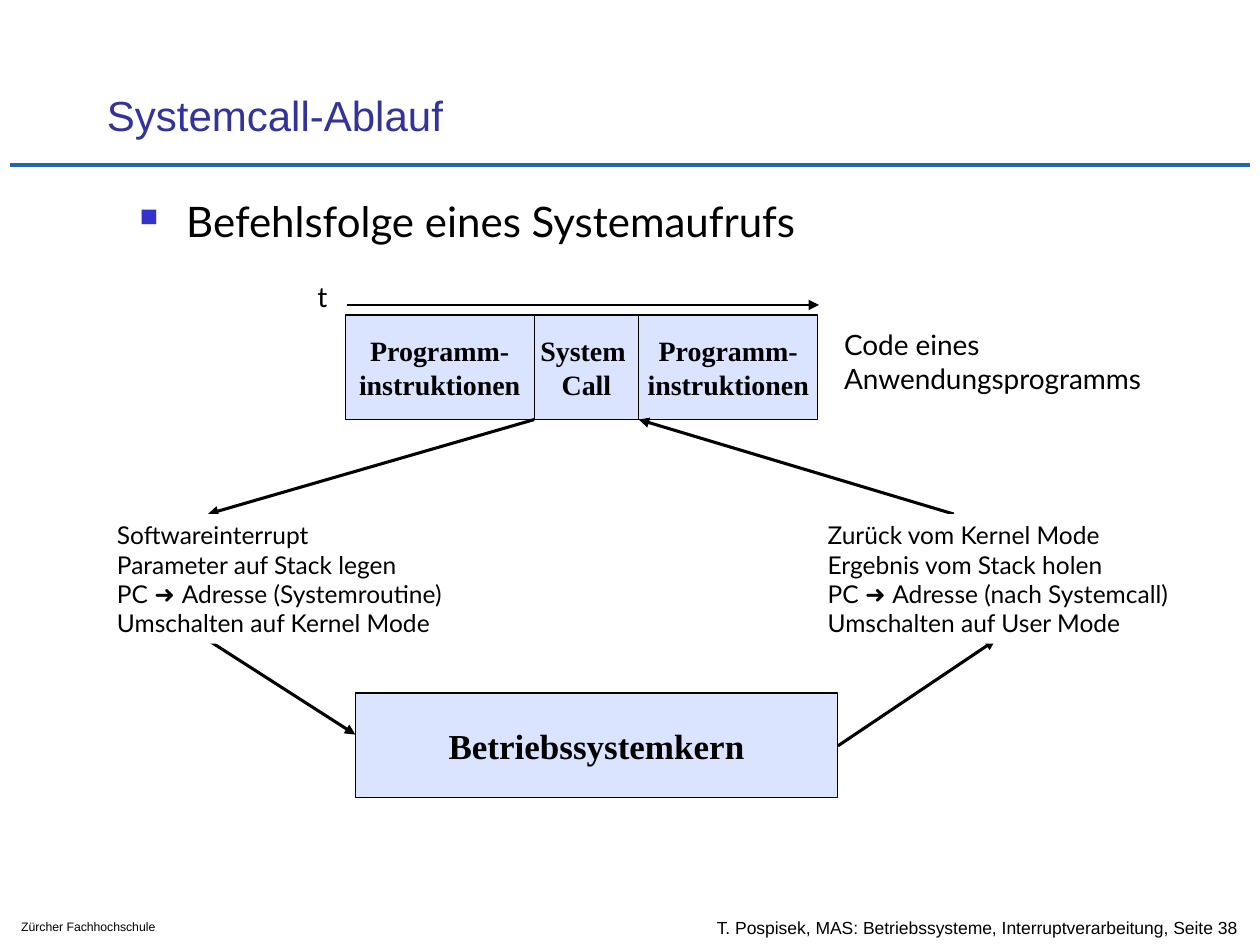
from dataclasses import dataclass

from lxml.etree import SubElement
from pptx import Presentation
from pptx.dml.color import RGBColor
from pptx.enum.shapes import MSO_CONNECTOR as Connector, MSO_SHAPE as Shape
from pptx.enum.text import MSO_ANCHOR as Anchor, PP_ALIGN as Align
from pptx.oxml.ns import qn
from pptx.slide import Slide
from pptx.util import Inches, Pt

BLACK = RGBColor(0x00, 0x00, 0x00)
WHITE = RGBColor(0xFF, 0xFF, 0xFF)
TITLE_BLUE = RGBColor(0x33, 0x33, 0x99)
RULE_BLUE = RGBColor(0x22, 0x66, 0xAB)
BOX_BLUE = RGBColor(0xDA, 0xE4, 0xFF)
BULLET_BLUE = "3333CC"
ARROW = "➜ "


def write(frame, text, size=16, font="Lato", color=BLACK, bold=False,
          align=Align.LEFT, anchor=Anchor.TOP, wrap=True):
    frame.word_wrap = wrap
    frame.vertical_anchor = anchor
    for index, line in enumerate(text.split("\n")):
        paragraph = frame.paragraphs[0] if index == 0 else frame.add_paragraph()
        paragraph.alignment = align
        before, arrow, after = line.partition(ARROW)
        for part in filter(None, (before, arrow, after)):
            run = paragraph.add_run()
            run.text = part
            run.font.name = "Arial" if part == ARROW else font
            run.font.size = Pt(size)
            run.font.bold = bold
            run.font.color.rgb = color


@dataclass
class Sketch:
    """Draws the elements of one slide in a common style."""

    slide: Slide
    box_font: str = "Times New Roman"

    def label(self, text, left, top, width, height, **style):
        frame = self.slide.shapes.add_textbox(
            Inches(left), Inches(top), Inches(width), Inches(height)).text_frame
        write(frame, text, **style)
        return frame

    def bullet(self, text, left, top, width, height, **style):
        frame = self.label(text, left, top, width, height, **style)
        props = frame.paragraphs[0]._p.get_or_add_pPr()
        props.set("marL", str(Inches(0.38)))
        props.set("indent", str(Inches(-0.37)))
        color = SubElement(props, qn("a:buClr"))
        SubElement(color, qn("a:srgbClr"), val=BULLET_BLUE)
        SubElement(props, qn("a:buSzPct"), val="60000")
        SubElement(props, qn("a:buChar"), char="■")

    def rectangle(self, left, top, width, height, fill):
        shape = self.slide.shapes.add_shape(
            Shape.RECTANGLE, Inches(left), Inches(top), Inches(width), Inches(height))
        shape.shadow.inherit = False
        shape.fill.solid()
        shape.fill.fore_color.rgb = fill
        return shape

    def box(self, text, left, top, width, size=16):
        shape = self.rectangle(left, top, width, 0.83, BOX_BLUE)
        shape.line.color.rgb = BLACK
        shape.line.width = Pt(0.75)
        write(shape.text_frame, text, size=size, font=self.box_font, bold=True,
              align=Align.CENTER, anchor=Anchor.MIDDLE, wrap=False)

    def note(self, text, left, top, width, height, size=16):
        shape = self.rectangle(left, top, width, height, WHITE)
        shape.line.fill.background()
        write(shape.text_frame, text, size=size)

    def line(self, start, end, color=BLACK, width=1.75, head=True):
        line = self.slide.shapes.add_connector(
            Connector.STRAIGHT, *map(Inches, (*start, *end)))
        line.line.color.rgb = color
        line.line.width = Pt(width)
        if head:
            SubElement(line.line._get_or_add_ln(), qn("a:tailEnd"), type="triangle")
        SubElement(line._element.spPr, qn("a:effectLst"))


def main():
    deck = Presentation()
    deck.slide_width, deck.slide_height = Inches(10), Inches(7.5)
    sketch = Sketch(deck.slides.add_slide(deck.slide_layouts[6]))

    sketch.line((0.08, 1.31), (9.92, 1.31), color=RULE_BLUE, width=2.5, head=False)
    sketch.label("T. Pospisek, MAS: Betriebssysteme, Interruptverarbeitung, Seite 38",
                 5.59, 7.2, 4.41, 0.33, size=10, font="Arial", anchor=Anchor.MIDDLE)
    sketch.label("Zürcher Fachhochschule", 0.07, 7.25, 1.72, 0.22, size=7, font="Arial")
    sketch.label("Systemcall-Ablauf", 0.75, 0.44, 8.52, 0.72, size=24, font="Arial",
                 color=TITLE_BLUE, anchor=Anchor.BOTTOM)
    sketch.bullet("Befehlsfolge eines Systemaufrufs", 1, 1.5, 8.5, 0.75, size=24)

    program_left, call_left, resume_left, program_right = 2.74, 4.24, 5.07, 6.49
    program_top, program_bottom = 2.5, 3.33
    notes_top, notes_bottom = 4.08, 5.08
    kernel_left, kernel_width = 2.82, 3.83

    instructions = "Programm-\ninstruktionen"
    for text, left, right in (
        (instructions, program_left, call_left),
        ("System \nCall", call_left, resume_left),
        (instructions, resume_left, program_right),
    ):
        sketch.box(text, left, program_top, right - left)
    sketch.box("Betriebssystemkern", kernel_left, 5.5, kernel_width, size=20)

    for start, end in (
        ((call_left, program_bottom), (1.65, notes_top)),
        ((1.65, notes_bottom), (kernel_left, 5.83)),
        ((kernel_left + kernel_width, 5.92), (7.9, notes_bottom)),
        ((7.57, notes_top), (resume_left, program_bottom)),
    ):
        sketch.line(start, end)
    sketch.line((2.75, 2.42), (6.5, 2.42), width=0.75)

    sketch.note("Softwareinterrupt\nParameter auf Stack legen\n"
                "PC ➜ Adresse (Systemroutine)\nUmschalten auf Kernel Mode",
                0.83, notes_top, 2.93, 1.03, size=14)
    sketch.note("Zurück vom Kernel Mode\nErgebnis vom Stack holen\n"
                "PC ➜ Adresse (nach Systemcall)\nUmschalten auf User Mode",
                6.47, notes_top, 3.06, 1.03, size=14)
    sketch.note("Code eines\nAnwendungsprogramms", 6.6, 2.55, 2.79, 0.63)
    sketch.note("t", 2.42, 2.17, 0.28, 0.37)

    deck.save("out.pptx")


if __name__ == "__main__":
    main()
